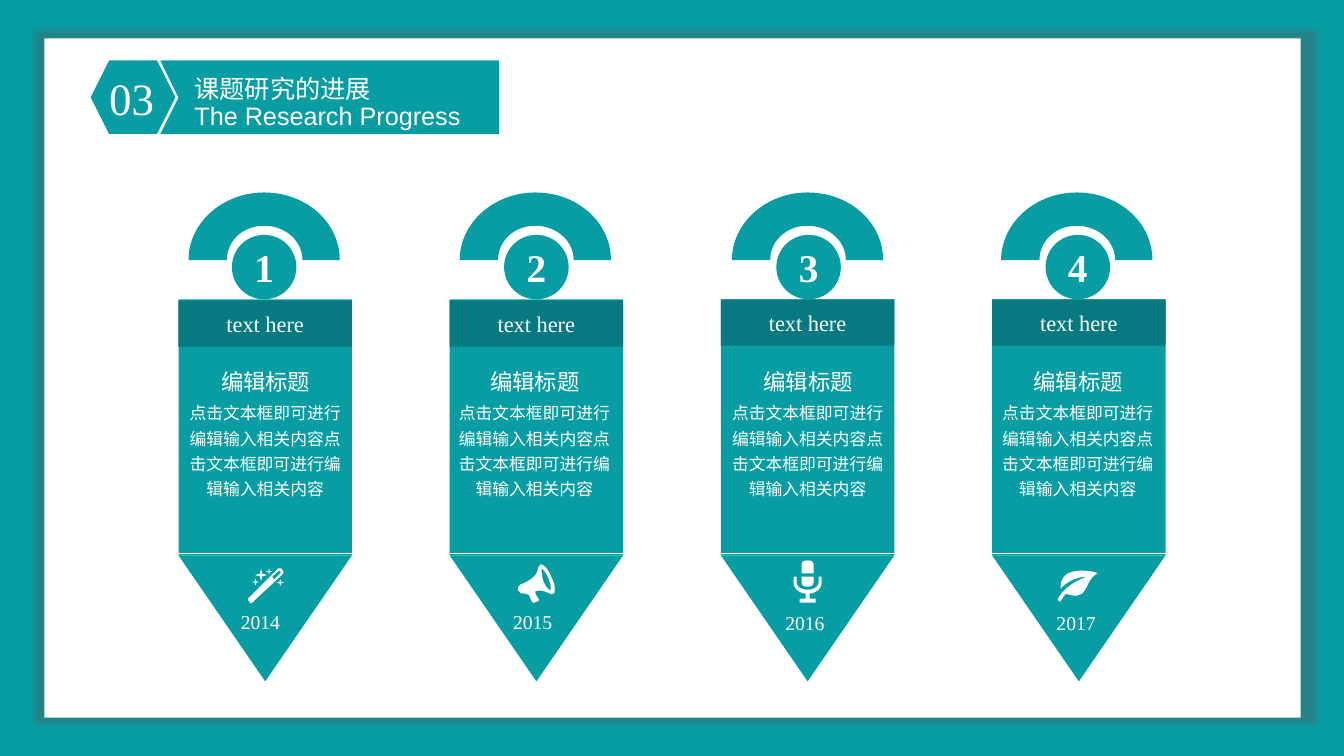
import math
from lxml import etree
from pptx import Presentation
from pptx.dml.color import RGBColor
from pptx.enum.shapes import MSO_CONNECTOR, MSO_SHAPE
from pptx.enum.text import MSO_ANCHOR, MSO_AUTO_SIZE, PP_ALIGN
from pptx.oxml.ns import qn
from pptx.util import Inches, Pt

LEFT, CENTER = PP_ALIGN.LEFT, PP_ALIGN.CENTER
TOP, MIDDLE = MSO_ANCHOR.TOP, MSO_ANCHOR.MIDDLE
FIT_SHAPE = MSO_AUTO_SIZE.SHAPE_TO_FIT_TEXT
RECTANGLE, OVAL, HEXAGON = MSO_SHAPE.RECTANGLE, MSO_SHAPE.OVAL, MSO_SHAPE.HEXAGON
TRIANGLE, SNIPPED = MSO_SHAPE.ISOSCELES_TRIANGLE, MSO_SHAPE.SNIP_1_RECTANGLE
STRAIGHT = MSO_CONNECTOR.STRAIGHT
SERIF, SANS, CHINESE = "Times New Roman", "Arial", "Noto Sans CJK SC"
COLORS = {"teal": "089DA3", "dark": "067A80", "white": "FFFFFF", "shadow": "595959"}

SECTION = "03"
TITLE = "课题研究的进展"
SUBTITLE = "The Research Progress"
LABEL = "text here"
HEADING = "编辑标题"
DETAIL = "点击文本框即可进行编辑输入相关内容点击文本框即可进行编辑输入相关内容"
PENCILS = [
    {"year": "2014", "year_at": (2.29, 6), "arch": 1.87, "badge": 2.3, "label": 2.98, "detail": 1.77},
    {"year": "2015", "year_at": (4.99, 6), "arch": 4.56, "badge": 5, "label": 2.98, "detail": 4.44},
    {"year": "2016", "year_at": (7.69, 6.01), "arch": 7.26, "badge": 7.7, "label": 2.97, "detail": 7.15},
    {"year": "2017", "year_at": (10.38, 6.01), "arch": 9.93, "badge": 10.37, "label": 2.97, "detail": 9.83},
]
FIRST_LEFT, PITCH, WIDTH, BODY_HEIGHT = 1.77, 2.69, 1.72, 2.54

BANNER = [[(0, 0), (336, 0), (336, 73), (0, 73), (18, 37)]]
ARCH = [[(0, 67), (0, 30, 34, 0, 75, 0), (117, 0, 150, 30, 150, 67), (113, 67),
         (113, 48, 96, 33, 75, 33), (54, 33, 38, 48, 38, 67)]]
WAND = [
    [(30, 0), (33, 0), (35, 3), (35, 4), (34, 6), (4, 34), (2, 34), (0, 31), (0, 30), (1, 29)],
    [(33, 4), (31, 2), (24, 8), (26, 11)],
]
WAND_STARS = [(7.5, 13.5, 3.5), (13, 6.5, 6), (21, 3, 3), (32, 14, 3.5)]
MEGAPHONE = [
    [(34, 14), (31, 6, 26, 0, 23, 1), (18, 3, 26, 12, 3, 21), (1, 22, 0, 25, 1, 27),
     (2, 29, 5, 31, 7, 30), (9, 30), (10, 32, 12, 30, 12, 32), (12, 33, 14, 36, 14, 37),
     (15, 38, 15, 39, 16, 39), (17, 39, 20, 38, 21, 37), (22, 37, 22, 36, 21, 35),
     (21, 35, 20, 34, 20, 33), (19, 33, 18, 30, 18, 29), (17, 28, 18, 27, 20, 27),
     (30, 26, 32, 32, 36, 30), (38, 30, 38, 21, 34, 14)],
    [(33, 27), (33, 27, 28, 24, 26, 18), (24, 12, 24, 5, 24, 5),
     (25, 5, 29, 9, 31, 15), (34, 21, 33, 26, 33, 27)],
]
MICROPHONE_STAND = [
    [(27, 16), (25, 16), (25, 22), (25, 25, 22, 29, 14, 29), (6, 29, 3, 25, 3, 22), (3, 16),
     (1, 16), (0, 17), (0, 22), (0, 27, 4, 32, 12, 33), (12, 38), (7, 38), (6, 39), (6, 42),
     (22, 42), (22, 38), (16, 38), (16, 33), (24, 32, 28, 27, 28, 22), (28, 17)],
]
MICROPHONE_BODY = [[(14, 26), (19, 26, 20, 24, 20, 22), (20, 16), (8, 16), (8, 22),
                    (8, 24, 9, 26, 14, 26)]]
MICROPHONE_TOP = [[(20, 4), (20, 2, 19, 0, 14, 0), (9, 0, 8, 2, 8, 4), (8, 13), (20, 13)]]
LEAF = [
    [(10, 6), (2, 11, 3, 18, 3, 21), (13, 9, 29, 9, 29, 9), (29, 9, 6, 17, 0, 32),
     (0, 33, 3, 35, 3, 33), (5, 30, 8, 26, 8, 26), (12, 27, 19, 30, 24, 26),
     (30, 21, 30, 11, 39, 6), (42, 5, 21, 0, 10, 6)],
]


def star(x, y, radius):
    points = []
    for step in range(8):
        reach = radius if step % 2 == 0 else radius * 0.3
        angle = step * math.pi / 4
        points.append((x + reach * math.cos(angle), y + reach * math.sin(angle)))
    return points


ICONS = [
    (10.49, 5.63, LEAF),
    (7.87, 5.56, MICROPHONE_STAND),
    (7.87, 5.56, MICROPHONE_BODY),
    (7.87, 5.56, MICROPHONE_TOP),
    (5.13, 5.59, MEGAPHONE),
    (2.46, 5.64, WAND + [star(*values) for values in WAND_STARS]),
]


def paint(shape, color):
    shape.shadow.inherit = False
    shape.line.fill.background()
    if color is None:
        shape.fill.background()
    else:
        shape.fill.solid()
        shape.fill.fore_color.rgb = RGBColor.from_string(COLORS[color])
    return shape


def add_block(kind, left, top, width, height, color):
    return paint(slide.shapes.add_shape(
        kind, Inches(left), Inches(top), Inches(width), Inches(height)), color)


def add_outline(left, top, contours, color):
    def place(x, y):
        return Inches(left + x / 100), Inches(top + y / 100)

    builder = slide.shapes.build_freeform(*place(*contours[0][0]))
    for number, contour in enumerate(contours):
        if number:
            builder.move_to(*place(*contour[0]))
        builder.add_line_segments([place(*segment[-2:]) for segment in contour[1:]], close=True)
    shape = paint(builder.convert_to_shape(), color)

    segments = [segment for contour in contours for segment in contour[1:]]
    lines = list(shape.element.iter(qn("a:lnTo")))
    for line, segment in zip(lines, segments):
        if len(segment) == 6:
            line.tag = qn("a:cubicBezTo")
            for position in (0, 1):
                x, y = place(*segment[2 * position:2 * position + 2])
                point = etree.Element(qn("a:pt"), x=str(x - shape.left), y=str(y - shape.top))
                line.insert(position, point)
    return shape


def write(shape, text, size, font, align=CENTER, bold=False, spacing=None,
          anchor=MIDDLE, wrap=True):
    frame = shape.text_frame
    frame.text = text
    frame.word_wrap = wrap
    frame.vertical_anchor = anchor
    paragraph = frame.paragraphs[0]
    paragraph.alignment = align
    if spacing:
        paragraph.line_spacing = spacing
    paragraph.font.size = Pt(size)
    paragraph.font.bold = bold
    paragraph.font.name = font
    paragraph.font.color.rgb = RGBColor.from_string(COLORS["white"])
    defaults = paragraph._p.get_or_add_pPr().get_or_add_defRPr()
    etree.SubElement(defaults, qn("a:ea"), typeface=font)


def add_text(left, top, width, height, *content, **style):
    box = slide.shapes.add_textbox(Inches(left), Inches(top), Inches(width), Inches(height))
    write(box, *content, anchor=TOP, **style)
    box.text_frame.auto_size = FIT_SHAPE


def add_panel():
    panel = add_block(RECTANGLE, 0.44, 0.38, 12.46, 6.74, "white")
    effects = panel.element.spPr.find(qn("a:effectLst"))
    shadow = etree.SubElement(effects, qn("a:outerShdw"), blurRad=str(Pt(4)), dist=str(Pt(2)),
                              dir="0", sx="102000", sy="102000", algn="ctr", rotWithShape="0")
    color = etree.SubElement(shadow, qn("a:srgbClr"), val=COLORS["shadow"])
    etree.SubElement(color, qn("a:alpha"), val="36000")


def add_header():
    banner = add_outline(1.59, 0.6, BANNER, "teal")
    add_block(HEXAGON, 0.9, 0.6, 0.84, 0.73, "teal")
    add_text(0.87, 0.65, 0.87, 0.64, SECTION, 32, SERIF)
    title = slide.shapes.title
    title.left, title.top, title.width, title.height = map(Inches, (1.83, 0.38, 1.97, 0.62))
    write(title, TITLE, 18, CHINESE, align=LEFT, spacing=2.0, anchor=TOP, wrap=False)
    title.text_frame.auto_size = FIT_SHAPE
    banner.element.addnext(title.element)
    subtitle = add_block(SNIPPED, 1.83, 0.95, 5.49, 0.4, None)
    subtitle.adjustments[0] = 0
    write(subtitle, SUBTITLE, 18, SANS, align=LEFT, anchor=TOP)
    subtitle.text_frame.auto_size = FIT_SHAPE


def add_pencil(index, pencil):
    left = FIRST_LEFT + index * PITCH
    turn = (BODY_HEIGHT - WIDTH) / 2
    body = add_block(RECTANGLE, left - turn, 2.97 + turn, BODY_HEIGHT, WIDTH, "teal")
    body.rotation = 90
    tip = add_block(TRIANGLE, left, 5.51, WIDTH, 1.25, "teal")
    tip.rotation = 180
    label = add_block(RECTANGLE, left, pencil["label"], WIDTH, 0.46, "dark")
    write(label, LABEL, 16, SERIF)
    seam = slide.shapes.add_connector(STRAIGHT, Inches(left + WIDTH), Inches(5.49),
                                      Inches(left), Inches(5.49))
    seam.line.color.rgb = RGBColor.from_string(COLORS["white"])
    seam.line.width = Pt(0.5)
    etree.SubElement(seam.element.spPr, qn("a:effectLst"))
    add_outline(pencil["arch"], 1.91, ARCH, "teal")
    add_text(*pencil["year_at"], 0.6, 0.34, pencil["year"], 14, SERIF, align=LEFT, wrap=False)
    badge = add_block(OVAL, pencil["badge"], 2.33, 0.64, 0.64, "teal")
    write(badge, str(index + 1), 28, SERIF, bold=True)
    add_text(pencil["detail"], 3.9, WIDTH, 1.11, DETAIL, 12, CHINESE, spacing=1.25)
    add_text(pencil["detail"] + 0.12, 3.6, 1.49, 0.37, HEADING, 16, CHINESE)


presentation = Presentation()
presentation.slide_width, presentation.slide_height = Inches(13.33), Inches(7.5)
slide = presentation.slides.add_slide(presentation.slide_layouts[5])
slide.background.fill.solid()
slide.background.fill.fore_color.rgb = RGBColor.from_string(COLORS["teal"])

add_panel()
add_header()
for index, pencil in enumerate(PENCILS):
    add_pencil(index, pencil)
for icon in ICONS:
    add_outline(*icon, "white")

presentation.save("out.pptx")
